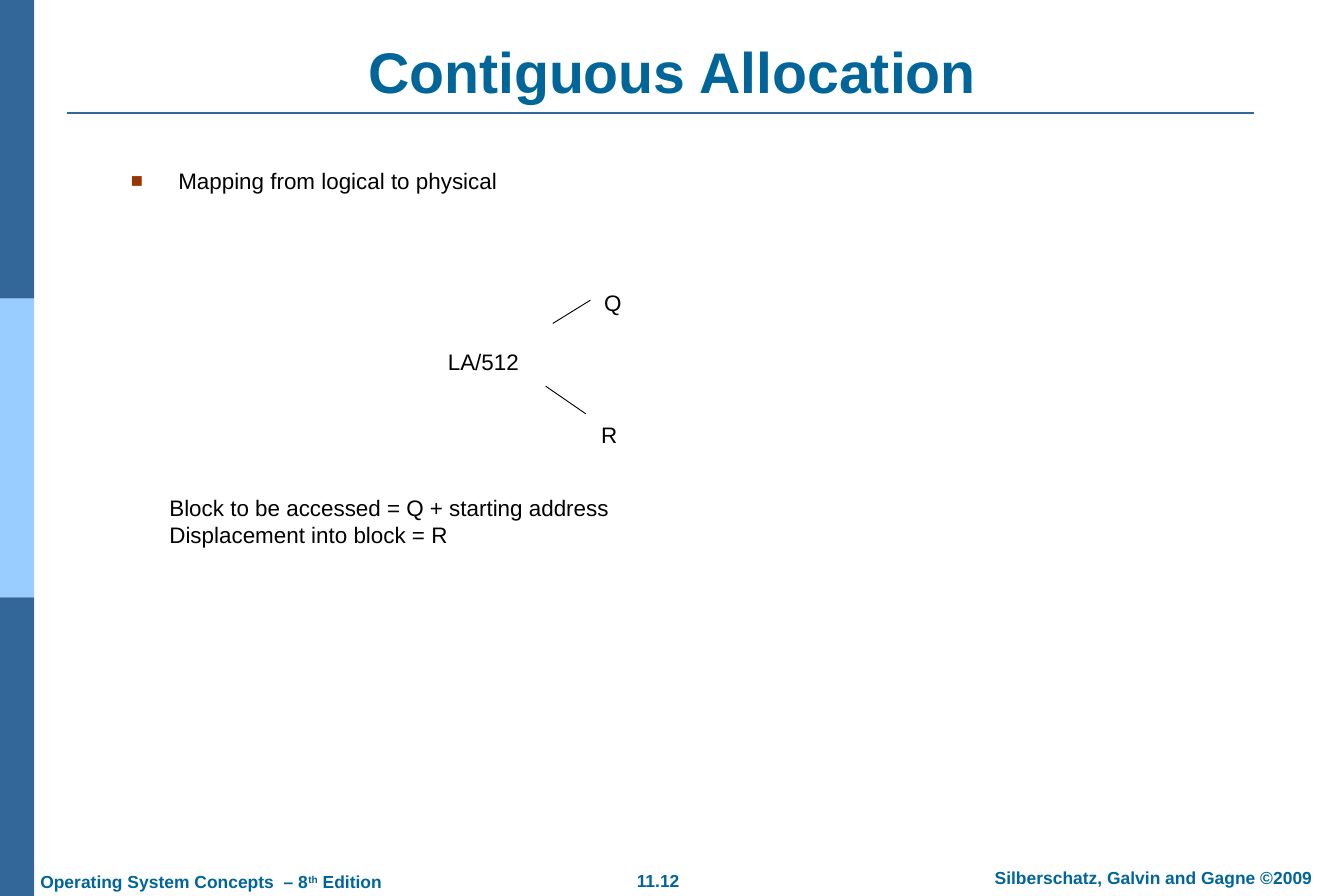
from dataclasses import dataclass

from lxml.etree import SubElement
from pptx import Presentation
from pptx.dml.color import RGBColor
from pptx.enum.shapes import MSO_CONNECTOR as Connector, MSO_SHAPE as Shape
from pptx.enum.text import MSO_ANCHOR as Anchor, MSO_AUTO_SIZE as AutoSize, PP_ALIGN as Align
from pptx.oxml.ns import qn
from pptx.util import Inches, Pt


@dataclass(frozen=True)
class Theme:
    font: str = "Arial"
    heading: str = "006699"
    dark_band: str = "336699"
    light_band: str = "99CCFF"
    bullet: str = "993300"
    ink: str = "000000"
    title_size: int = 46
    body_size: int = 18
    footer_size: int = 14


THEME = Theme()
WIDTH, HEIGHT = 15, 10
BAND_WIDTH = 0.38
BANDS = [THEME.dark_band, THEME.light_band, THEME.dark_band]

TITLE = ("Contiguous Allocation", (0.75, 0.4, 13.5, 0.84))
TOPIC = ("Mapping from logical to physical", (1.32, 1.8, 12.06, 5.09))
TOPIC_INDENT = 0.53
RESULTS = (
    ["Block to be accessed = Q + starting address", "Displacement into block = R"],
    (1.04, 5.45, 11.95, 1.2),
)
RESULT_INDENT = 0.71
DIVISION_LABELS = [
    ("LA/512", (4.36, 3.81, 2.07, 0.45)),
    ("Q", (6.18, 3.15, 1.32, 0.45)),
    ("R", (6.28, 4.63, 1.04, 0.45)),
]
# start, end, colour, width in points
LINES = [
    ((0.75, 1.26), (14, 1.26), THEME.dark_band, 1.5),
    ((6.17, 3.61), (6.59, 3.35), THEME.ink, 0.75),
    ((6.09, 4.31), (6.54, 4.62), THEME.ink, 0.75),
]
# runs, box, alignment, wraps
FOOTERS = [
    (["11.12"], (6.95, 9.64, 0.79, 0.38), Align.CENTER, False),
    (["Silberschatz, Galvin and Gagne ©2009"], (10.65, 9.61, 4.45, 0.38), Align.CENTER, True),
    (["Operating System Concepts  – 8", "th", " Edition"], (0.31, 9.65, 4.13, 0.38), Align.LEFT, False),
]
SUPERSCRIPTS = {"th": "30000"}


def add_band(slide, index, color):
    band_height = HEIGHT / len(BANDS)
    box = (0, index * band_height, BAND_WIDTH, band_height)
    shape = slide.shapes.add_shape(Shape.RECTANGLE, *map(Inches, box))
    shape.shadow.inherit = False
    shape.fill.solid()
    shape.fill.fore_color.rgb = RGBColor.from_string(color)
    shape.line.fill.background()


def add_line(slide, start, end, color, width):
    line = slide.shapes.add_connector(Connector.STRAIGHT, *map(Inches, start + end))
    line.line.color.rgb = RGBColor.from_string(color)
    line.line.width = Pt(width)
    SubElement(line._element.spPr, qn("a:effectLst"))


def add_text(slide, paragraphs, box, size=THEME.body_size, color=THEME.ink, bold=False,
             align=Align.LEFT, anchor=Anchor.TOP, wrap=True, grow=False):
    """Add a text box from paragraphs, each a list of runs; return its paragraphs."""
    frame = slide.shapes.add_textbox(*map(Inches, box)).text_frame
    frame.margin_left = frame.margin_right = Inches(0.14)
    frame.margin_top = frame.margin_bottom = Inches(0.07)
    frame.word_wrap = wrap
    frame.vertical_anchor = anchor
    frame.auto_size = AutoSize.SHAPE_TO_FIT_TEXT if grow else AutoSize.NONE
    for index, runs in enumerate(paragraphs):
        paragraph = frame.add_paragraph() if index else frame.paragraphs[0]
        paragraph.alignment = align
        for text in runs:
            run = paragraph.add_run()
            run.text = text
            font = run.font
            font.name, font.size, font.bold = THEME.font, Pt(size), bold
            font.color.rgb = RGBColor.from_string(color)
            if text in SUPERSCRIPTS:
                font._element.set("baseline", SUPERSCRIPTS[text])
    return frame.paragraphs


def set_indent(paragraph, left, first=0):
    properties = paragraph._p.get_or_add_pPr()
    properties.set("marL", str(Inches(left)))
    properties.set("indent", str(Inches(first)))
    return properties


def add_bullet(paragraph):
    properties = set_indent(paragraph, TOPIC_INDENT, -TOPIC_INDENT)
    bullet_color = SubElement(properties, qn("a:buClr"))
    SubElement(bullet_color, qn("a:srgbClr"), val=THEME.bullet)
    SubElement(properties, qn("a:buSzPct"), val="90000")
    SubElement(properties, qn("a:buFont"), typeface=THEME.font)
    SubElement(properties, qn("a:buChar"), char="■")


def main():
    presentation = Presentation()
    presentation.slide_width, presentation.slide_height = Inches(WIDTH), Inches(HEIGHT)
    slide = presentation.slides.add_slide(presentation.slide_layouts[6])

    for index, color in enumerate(BANDS):
        add_band(slide, index, color)
    for line in LINES:
        add_line(slide, *line)
    for runs, box, align, wrap in FOOTERS:
        add_text(slide, [runs], box, THEME.footer_size, THEME.heading, bold=True,
                 align=align, wrap=wrap, grow=True)

    title, title_box = TITLE
    add_text(slide, [[title]], title_box, THEME.title_size, THEME.heading, bold=True,
             align=Align.CENTER, anchor=Anchor.BOTTOM)

    topic, topic_box = TOPIC
    add_bullet(add_text(slide, [[topic]], topic_box)[0])

    for label, box in DIVISION_LABELS:
        add_text(slide, [[label]], box, align=Align.CENTER, anchor=Anchor.MIDDLE, grow=True)

    results, results_box = RESULTS
    for paragraph in add_text(slide, [[result] for result in results], results_box):
        paragraph.level = 1
        set_indent(paragraph, RESULT_INDENT)

    presentation.save("out.pptx")


if __name__ == "__main__":
    main()
